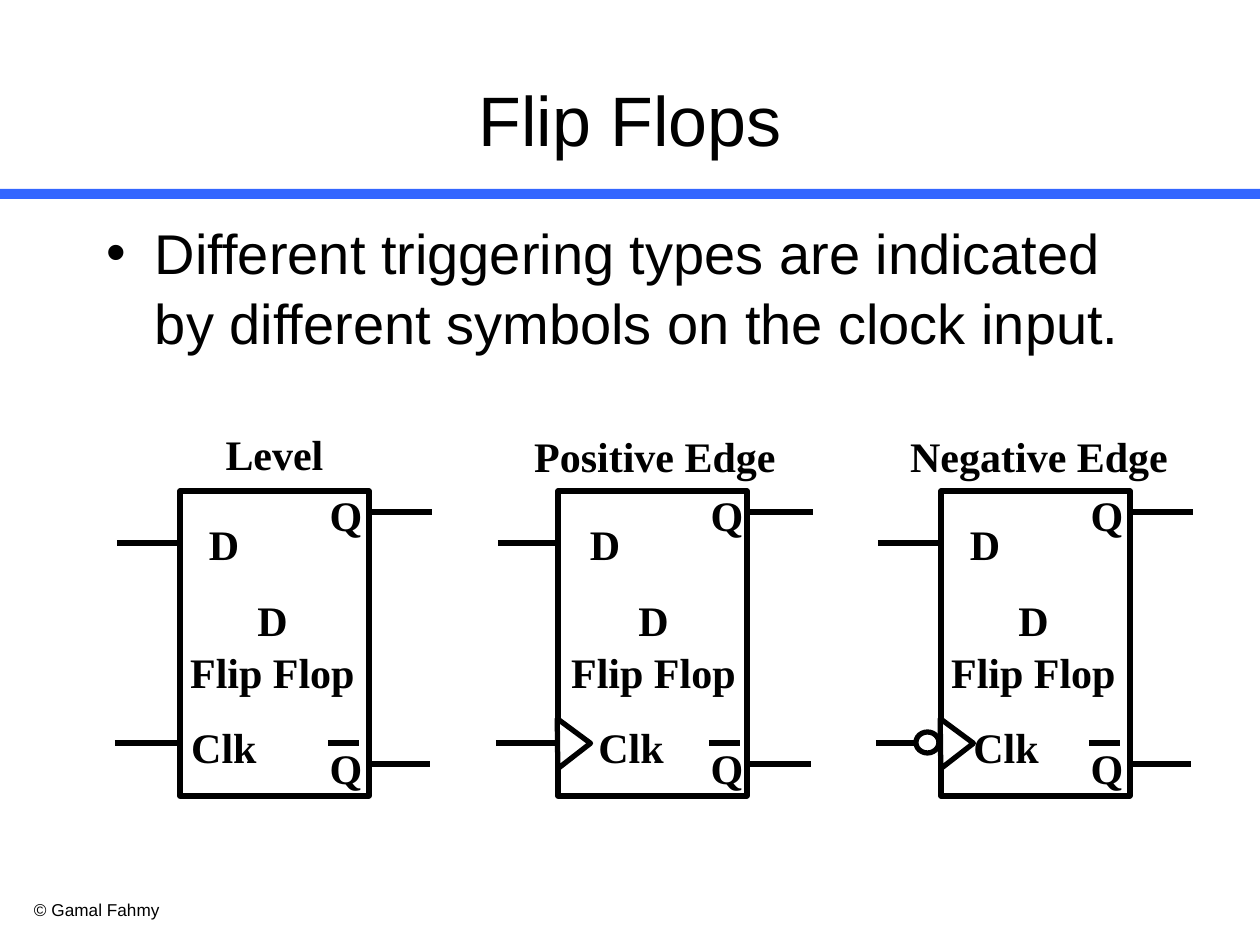
from lxml import etree
from pptx import Presentation
from pptx.dml.color import RGBColor
from pptx.enum.shapes import MSO_CONNECTOR, MSO_SHAPE
from pptx.enum.text import MSO_ANCHOR, PP_ALIGN
from pptx.oxml.ns import qn
from pptx.util import Pt

RECT, TRIANGLE, OVAL = MSO_SHAPE.RECTANGLE, MSO_SHAPE.ISOSCELES_TRIANGLE, MSO_SHAPE.OVAL
STRAIGHT = MSO_CONNECTOR.STRAIGHT
LEFT, CENTER = PP_ALIGN.LEFT, PP_ALIGN.CENTER
TOP, MIDDLE = MSO_ANCHOR.TOP, MSO_ANCHOR.MIDDLE
COLORS = {"ink": "000000", "paper": "FFFFFF", "band": "3366FF"}
SANS, SERIF = "Arial", "Times New Roman"


def px(n):
    return round(n * 914400 / 126)


def rgb(name):
    return RGBColor.from_string(COLORS[name])


class Deck:
    """Draws styled elements on the current slide or group."""

    def __init__(self, width, height):
        self.prs = Presentation()
        self.prs.slide_width, self.prs.slide_height = px(width), px(height)
        self.s = self.prs.slides.add_slide(self.prs.slide_layouts[6])
        self.shapes = self.s.shapes

    def group(self):
        self.shapes = self.s.shapes.add_group_shape().shapes

    def shape(self, kind, x, y, w, h, fill="paper", line="ink", rotation=0):
        sp = self.shapes.add_shape(kind, px(x), px(y), px(w), px(h))
        sp.shadow.inherit = False
        sp.fill.solid()
        sp.fill.fore_color.rgb = rgb(fill)
        if line:
            sp.line.color.rgb = rgb(line)
            sp.line.width = Pt(3)
        else:
            sp.line.fill.background()
        sp.rotation = rotation

    def wire(self, x1, x2, y):
        cx = self.shapes.add_connector(STRAIGHT, px(x1), px(y), px(x2), px(y))
        cx.line.color.rgb = rgb("ink")
        cx.line.width = Pt(3)
        etree.SubElement(cx._element.spPr, qn("a:effectLst"))

    def text(self, text, x, y, w, h, size=24, font=SERIF, bold=True, align=CENTER,
             anchor=TOP, inset=0, gap=0, indent=0):
        tf = self.shapes.add_textbox(px(x), px(y), px(w), px(h)).text_frame
        tf.word_wrap = True
        tf.vertical_anchor = anchor
        tf.margin_left = tf.margin_right = px(inset)
        tf.text = text
        for p in tf.paragraphs:
            p.alignment = align
            p.line_spacing = 1.04
            for r in p.runs:
                r.font.size, r.font.name, r.font.bold = Pt(size), font, bold
                r.font.color.rgb = rgb("ink")
        p.space_before = Pt(gap)
        if indent:
            p._p.get_or_add_pPr().set("marL", str(px(indent)))
        return tf

    def bullet(self, text, x, y, w, h):
        tf = self.text(text, x, y, w, h, 32, SANS, False, LEFT, inset=13, gap=8, indent=48)
        pPr = tf.paragraphs[0]._p.get_or_add_pPr()
        pPr.set("indent", str(-px(48)))
        etree.SubElement(pPr, qn("a:buFont")).set("typeface", SANS)
        etree.SubElement(pPr, qn("a:buChar")).set("char", "•")

    def flip_flop(self, name, x, box_x, name_x, name_y, name_w, clk_indent, edge, inverted):
        self.group()
        self.shape(RECT, box_x, 491, 189, 305)
        pins_w = 90 + clk_indent
        self.text("D\nClk", x + 44 - pins_w // 2, 510, pins_w, 265, gap=86, indent=clk_indent)
        self.text("Q\nQ", x + 137, 481, 58, 315, gap=115)
        for x1, x2, y in ((-63, 0, 543), (-65, -2, 743), (187, 250, 764), (189, 252, 512)):
            self.wire(x + x1, x + x2, y)
        self.text("D\nFlip Flop", x - 2, 586, 189, 113)
        self.wire(x + 148, x + 179, 743)
        if edge:
            self.shape(TRIANGLE, box_x - 9, 727, 50, 33, rotation=89.3)
        if inverted:
            self.shape(OVAL, x - 25, 732, 23, 21)
        self.text(name, name_x, name_y, name_w, 63)


def main():
    deck = Deck(1260, 945)
    deck.shape(RECT, 0, 189, 1260, 10, "band", None)
    deck.text("© Gamal Fahmy", 21, 892, 273, 34, 9.8, SANS, False, LEFT, inset=13)
    deck.text("Flip Flops", 63, 38, 1134, 158, 40, SANS, False, anchor=MIDDLE)
    deck.bullet("Different triggering types are indicated by different symbols on the clock input.",
                94, 210, 1071, 158)
    for flip_flop in (
        ("Level", 180, 180, 213, 420, 123, 0, False, False),
        ("Positive Edge", 561, 558, 522, 422, 266, 52, True, False),
        ("Negative Edge", 941, 941, 898, 422, 282, 42, True, True),
    ):
        deck.flip_flop(*flip_flop)
    deck.prs.save("out.pptx")


if __name__ == "__main__":
    main()
